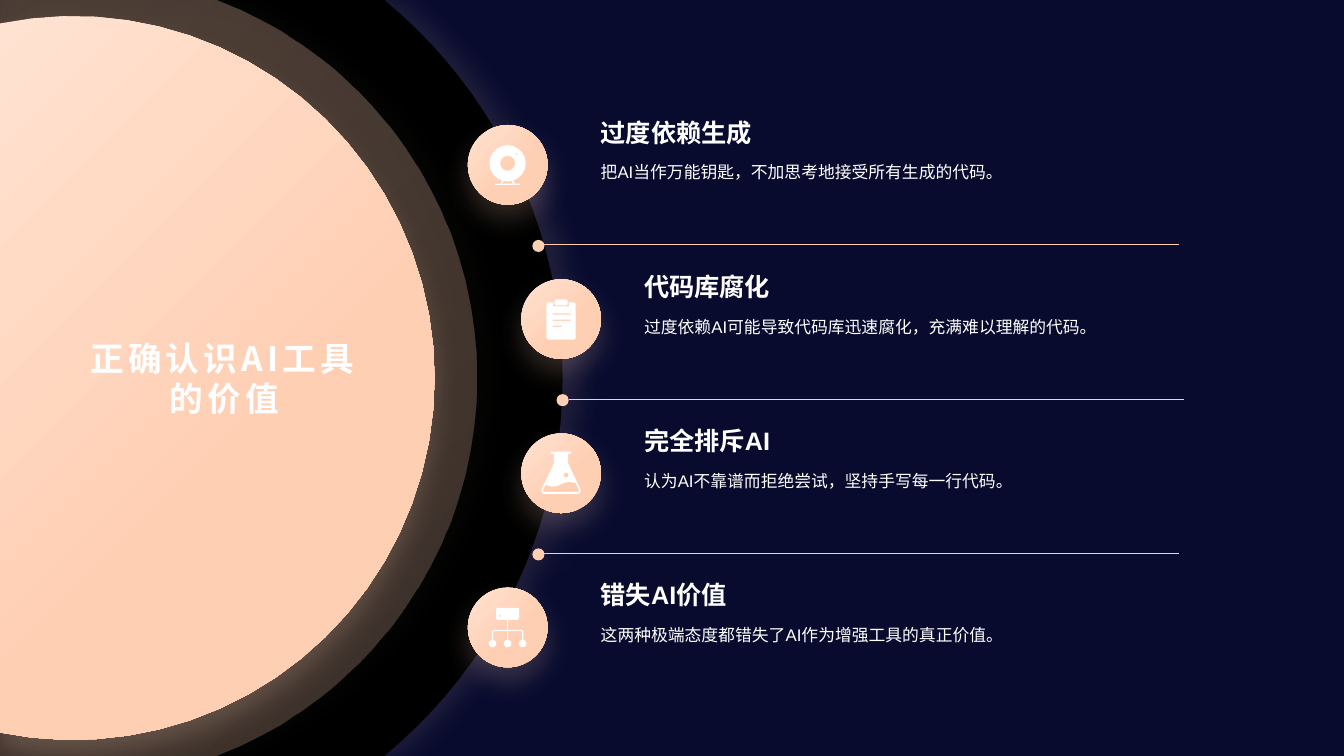
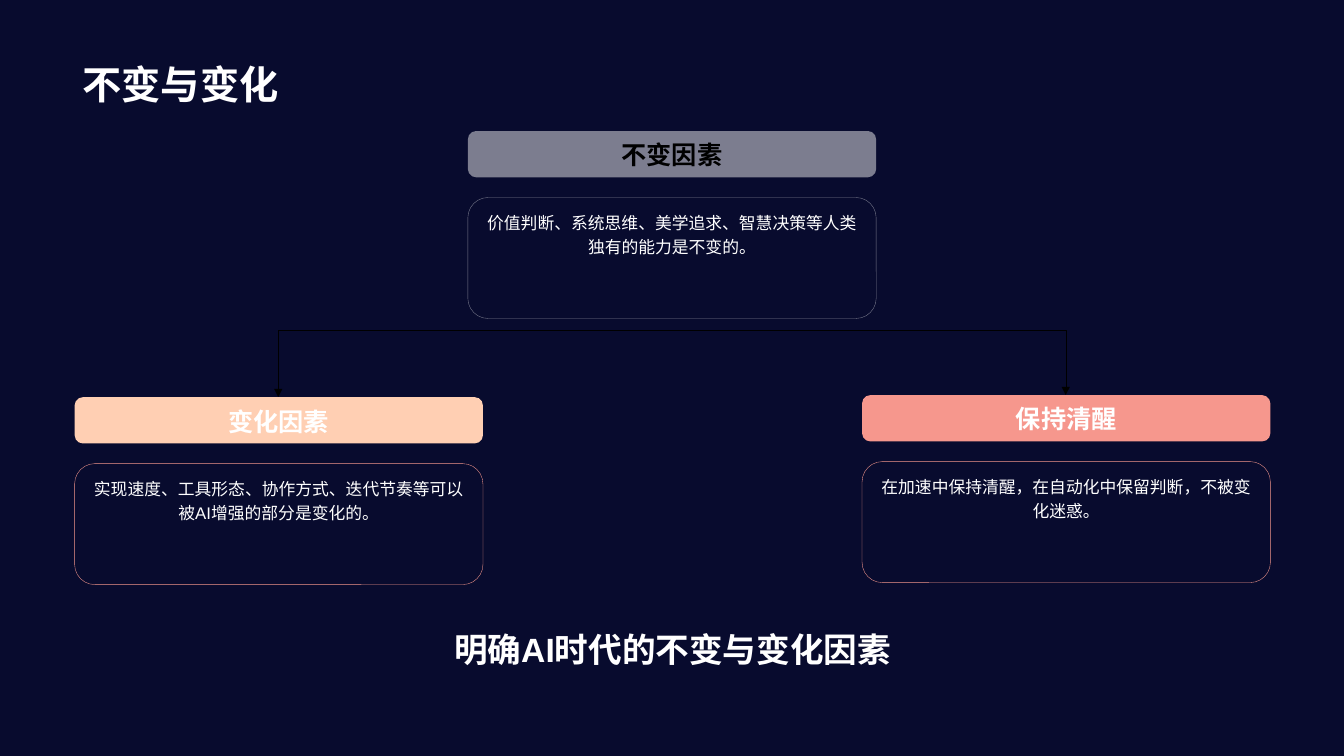
"""Build two slides on the value of AI tools."""
from dataclasses import dataclass
from math import acos, asin, cos, pi, sin

from lxml import etree
from pptx import Presentation
from pptx.dml.color import RGBColor
from pptx.enum.shapes import MSO_CONNECTOR, MSO_SHAPE
from pptx.enum.text import MSO_ANCHOR, MSO_AUTO_SIZE, PP_ALIGN
from pptx.oxml.ns import qn
from pptx.util import Inches, Pt

STRAIGHT, ELBOW = MSO_CONNECTOR.STRAIGHT, MSO_CONNECTOR.ELBOW
OVAL, ROUNDED = MSO_SHAPE.OVAL, MSO_SHAPE.ROUNDED_RECTANGLE
TOP, MIDDLE, BOTTOM = MSO_ANCHOR.TOP, MSO_ANCHOR.MIDDLE, MSO_ANCHOR.BOTTOM
LEFT, CENTER = PP_ALIGN.LEFT, PP_ALIGN.CENTER
NO_FIT = MSO_AUTO_SIZE.NONE


@dataclass(frozen=True)
class Theme:
    """Colours, fonts and type sizes of the deck."""
    navy: str = "080B2E"
    black: str = "000000"
    white: str = "FFFFFF"
    peach: str = "FFCFB3"
    cream: str = "FFE2D1"
    coral: str = "F6978D"
    silver: str = "F0F0F0"
    latin: str = "Arial"
    cjk: str = "Noto Sans CJK SC"
    title: int = 28
    callout: int = 24
    heading: int = 18
    body: int = 12


T = Theme()
WIDTH, HEIGHT = 13.33, 7.5
TITLE_BOX = (0.72, 0.14, 11.88, 0.98)


def rgb(color):
    """Turn a hex string into a colour."""
    return RGBColor.from_string(color)


def add_xml(parent, tag, **attrs):
    """Append a DrawingML element."""
    return etree.SubElement(parent, qn(tag), {k: str(v) for k, v in attrs.items()})


def set_alpha(sp, query, *percents):
    """Set the opacity of the colours found in a shape."""
    for clr, percent in zip(sp.element.spPr.xpath(query), percents):
        add_xml(clr, "a:alpha", val=percent * 1000)


def place(sp, box):
    """Move a shape to a box in inches."""
    sp.left, sp.top, sp.width, sp.height = map(Inches, box)


def write(sp, text, size=T.body, color=T.white, bold=False, font=T.latin,
          align=LEFT, anchor=TOP, leading=1.0, tracking=None):
    """Put formatted text into a shape."""
    tf = sp.text_frame
    tf.word_wrap, tf.auto_size, tf.vertical_anchor = True, NO_FIT, anchor
    p = tf.paragraphs[0]
    p.alignment, p.line_spacing = align, leading
    r = p.add_run()
    r.text = text
    r.font.size, r.font.bold, r.font.name = Pt(size), bold, font
    r.font.color.rgb = rgb(color)
    rpr = r.font._element
    add_xml(rpr, "a:ea", typeface=T.cjk)
    if tracking:
        rpr.set("spc", str(tracking * 100))


def add_text(s, box, text, **fmt):
    """Add a text box."""
    write(s.shapes.add_textbox(*map(Inches, box)), text, **fmt)


def paint(sp, fill=None, alpha=None, line=None, line_alpha=None):
    """Set a plain fill and a thin outline without shadow."""
    sp.shadow.inherit = False
    if fill:
        sp.fill.solid()
        sp.fill.fore_color.rgb = rgb(fill)
    else:
        sp.fill.background()
    if line:
        sp.line.color.rgb = rgb(line)
        sp.line.width = Pt(0.25)
    else:
        sp.line.fill.background()
    if alpha:
        set_alpha(sp, "./a:solidFill/a:srgbClr", alpha)
    if line_alpha:
        set_alpha(sp, "./a:ln//a:srgbClr", line_alpha)


def paint_gradient(sp, start, end, stop=1.0, alphas=()):
    """Fill a shape with a diagonal gradient."""
    paint(sp)
    sp.fill.gradient()
    sp.fill.gradient_angle = 315
    for gs, color, position in zip(sp.fill.gradient_stops, (start, end), (0, stop)):
        gs.color.rgb = rgb(color)
        gs.position = position
    set_alpha(sp, "./a:gradFill//a:srgbClr", *alphas)


def add_glow(sp, alpha, blur, direction):
    """Add a soft peach shadow."""
    effects = sp.element.spPr.find(qn("a:effectLst"))
    shadow = add_xml(effects, "a:outerShdw", blurRad=Pt(blur), dist=Pt(10),
                     dir=direction * 60000, algn="ctr", rotWithShape=0)
    clr = add_xml(shadow, "a:srgbClr", val=T.peach)
    add_xml(clr, "a:alpha", val=alpha * 1000)


def add_line(s, kind, start, end, color, width):
    """Add a connector without shadow."""
    cxn = s.shapes.add_connector(kind, *map(Inches, start + end))
    cxn.line.color.rgb = rgb(color)
    cxn.line.width = Pt(width)
    add_xml(cxn.element.spPr, "a:effectLst")
    return cxn


def arc(cx, cy, radius, start=0.0, end=2.0, steps=12):
    """Return points on an arc whose angles are multiples of pi."""
    angles = [(start + (end - start) * i / steps) * pi for i in range(steps + 1)]
    return [(cx + radius * cos(a), cy + radius * sin(a)) for a in angles]


def rect(x, y, w, h, radius=0.0):
    """Return the outline of a rectangle with optional round corners."""
    if not radius:
        return [(x, y), (x + w, y), (x + w, y + h), (x, y + h)]
    corners = ((x + w - radius, y + h - radius), (x + radius, y + h - radius),
               (x + radius, y + radius), (x + w - radius, y + radius))
    return [pt for i, (cx, cy) in enumerate(corners)
            for pt in arc(cx, cy, radius, i / 2, (i + 1) / 2, 2)]


def add_outline(s, contours, x=0, y=0, unit=1.0):
    """Add one freeform made of several closed contours."""
    pts = [[(Inches(px * unit), Inches(py * unit)) for px, py in c] for c in contours]
    fb = s.shapes.build_freeform(*pts[0][0], scale=1.0)
    for i, contour in enumerate(pts):
        if i:
            fb.move_to(*contour[0])
        fb.add_line_segments(contour[1:], close=True)
    return fb.convert_to_shape(Inches(x), Inches(y))


def webcam():
    """Outline a webcam around the origin."""
    legs = [[(side * x, y) for x, y in ((5.3, 15.8), (4, 16.1), (5.5, 18.7), (7.3, 18.7))]
            for side in (-1, 1)]
    return [arc(0, -1.5, 18, steps=20), arc(0, -1.5, 7.5), arc(9, -10.5, 1, steps=5),
            *legs, rect(-12.5, 18.7, 25, 1.3)]


def clipboard():
    """Outline a clipboard around the origin."""
    rows = [rect(-8.5, y, w, 1.3) for y, w in ((-5.5, 18), (0.5, 18), (6.5, 9))]
    return [rect(-14.5, -16.5, 29, 37, 2), rect(-7.8, -16.5, 15.6, 4),
            rect(-6.5, -19.5, 13, 6, 2), *rows]


def flask():
    """Outline a flask around the origin."""
    half = [(10, -21.5), (10, -19.5), (7, -19.5), (7, -10), (19.3, 16), (19.4, 18.5), (17.5, 20.5)]
    glass = half + [(-x, y) for x, y in reversed(half)]
    liquid = [(1, 10.5), (-4, 12.8), (-10, 13.2), (-15.5, 11.5), (-17.8, 16.5),
              (-17.5, 18.5), (17.5, 18.5), (17.8, 16.5), (14.5, 9.5), (8, 8.6), (3, 9.5)]
    return [glass, liquid, arc(5, 1.8, 2.5, steps=8)]


def hierarchy():
    """Outline a tree diagram around the origin."""
    half = [(0.6, -7.5), (0.6, 2.5), (14, 2.5), (15.6, 4), (15.6, 12.2), (14.4, 12.2),
            (14.4, 4.3), (13.8, 3.7), (0.6, 3.7), (0.6, 12.2)]
    branches = half + [(-x, y) for x, y in reversed(half)]
    return [rect(-11.5, -19.5, 23, 12, 2), arc(-7.5, -11.5, 1, steps=5), branches,
            *(arc(x, 16, 3.8, steps=10) for x in (-15, 0, 15))]


def add_disc(s, radius):
    """Add a disc cut off at the slide edges."""
    cx, cy = 0.72, HEIGHT / 2
    reach = (asin(cy / radius) if radius > cy else acos(-cx / radius)) / pi
    edge = arc(cx, cy, radius, -reach, reach, 40)
    return add_outline(s, [[(0, edge[0][1]), *edge, (0, edge[-1][1])]])


def add_title_disc(s, text):
    """Draw the concentric discs that hold the slide title."""
    outer, ring, inner = (add_disc(s, radius) for radius in (4.86, 4.01, 3.59))
    paint(outer, T.black)
    paint_gradient(ring, T.peach, T.peach, alphas=(30, 22))
    paint_gradient(inner, T.cream, T.peach, 0.6)
    add_glow(outer, 10, 20, 0)
    add_glow(ring, 10, 25, 0)
    add_glow(inner, 20, 20, 90)
    title = s.shapes.title
    title.element.getparent().append(title.element)
    place(title, (0.72, 2.19, 3.01, 3.12))
    write(title, text, size=T.callout, bold=True, font=T.cjk, align=CENTER,
          anchor=MIDDLE, tracking=3)


def add_point(s, icon_x, text_x, y, icon, heading, body):
    """Add one point with its round icon, heading and text."""
    size = 0.79
    badge = s.shapes.add_shape(OVAL, *map(Inches, (icon_x, y + 0.13, size, size)))
    paint_gradient(badge, T.cream, T.peach, 0.6)
    add_glow(badge, 20, 20, 90)
    paint(add_outline(s, icon(), icon_x + size / 2, y + 0.13 + size / 2, 0.01), T.white)
    add_text(s, (text_x, y, 5.91, 0.4), heading, size=T.heading, bold=True, anchor=BOTTOM)
    add_text(s, (text_x, y + 0.41, 5.91, 0.6), body, leading=1.2)


def add_divider(s, x, right, y):
    """Add a thin rule that starts with a dot."""
    size = 0.12
    add_line(s, STRAIGHT, (x + size, y), (right, y), T.peach, 0.75)
    dot = s.shapes.add_shape(OVAL, *map(Inches, (x, y - size / 2 + 0.01, size, size)))
    paint(dot, T.peach)
    add_glow(dot, 20, 25, 0)


def build_points_slide(s):
    """Lay out the title disc and its four points."""
    points = (
        (webcam, "过度依赖生成", "把AI当作万能钥匙，不加思考地接受所有生成的代码。"),
        (clipboard, "代码库腐化", "过度依赖AI可能导致代码库迅速腐化，充满难以理解的代码。"),
        (flask, "完全排斥AI", "认为AI不靠谱而拒绝尝试，坚持手写每一行代码。"),
        (hierarchy, "错失AI价值", "这两种极端态度都错失了AI作为增强工具的真正价值。"),
    )
    outer, inner = (4.64, 5.86), (5.17, 6.29)
    top, pitch = 1.11, 1.53
    add_title_disc(s, "正确认识AI工具的价值")
    for i, (x, right) in enumerate(((5.28, 11.69), (5.52, 11.74), (5.28, 11.69))):
        add_divider(s, x, right, top + i * pitch + 1.32)
    for i, (columns, point) in enumerate(zip((outer, inner, inner, outer), points)):
        add_point(s, *columns, top + i * pitch, *point)


def add_card(s, x, y, fill, line, heading, body, color=T.white, alpha=None):
    """Add a filled heading bar above an outlined text box."""
    box = s.shapes.add_shape(ROUNDED, *map(Inches, (x, y + 0.66, 4.05, 1.2)))
    paint(box, line=line, line_alpha=alpha)
    write(box, body, align=CENTER, leading=1.2)
    bar = s.shapes.add_shape(ROUNDED, *map(Inches, (x, y, 4.05, 0.46)))
    bar.adjustments[0] = 0.18
    paint(bar, fill, alpha)
    write(bar, heading, size=T.heading, color=color, bold=True, align=CENTER, anchor=BOTTOM)


def add_branch(s, start, end):
    """Add an arrow that runs sideways and then down."""
    cxn = add_line(s, ELBOW, start, end, T.black, 0.25)
    cxn.element.spPr.find(qn("a:prstGeom")).set("prst", "bentConnector2")
    add_xml(cxn.element.spPr.find(qn("a:ln")), "a:tailEnd", type="triangle")


def build_factors_slide(s):
    """Lay out the fixed factors above the two branches."""
    write(s.shapes.title, "不变与变化", size=T.title, bold=True, anchor=BOTTOM)
    for x, y in ((2.76, 3.94), (10.57, 3.92)):
        add_branch(s, (6.67, 3.28), (x, y))
    add_card(s, 4.64, 1.3, T.silver, T.silver, "不变因素",
             "价值判断、系统思维、美学追求、智慧决策等人类独有的能力是不变的。",
             color=T.black, alpha=50)
    add_card(s, 0.74, 3.94, T.peach, T.coral, "变化因素",
             "实现速度、工具形态、协作方式、迭代节奏等可以被AI增强的部分是变化的。")
    add_card(s, 8.55, 3.92, T.coral, T.coral, "保持清醒",
             "在加速中保持清醒，在自动化中保留判断，不被变化迷惑。")
    add_text(s, (0.74, 6.04, 11.86, 0.65), "明确AI时代的不变与变化因素",
             size=T.callout, bold=True, align=CENTER, anchor=BOTTOM)


def main():
    """Build and save the deck."""
    prs = Presentation()
    prs.slide_width, prs.slide_height = Inches(WIDTH), Inches(HEIGHT)
    background = prs.slide_master.background.fill
    background.solid()
    background.fore_color.rgb = rgb(T.navy)
    layout = prs.slide_layouts[5]
    place(layout.placeholders[0], TITLE_BOX)
    for build in (build_points_slide, build_factors_slide):
        build(prs.slides.add_slide(layout))
    prs.save("out.pptx")


if __name__ == "__main__":
    main()
